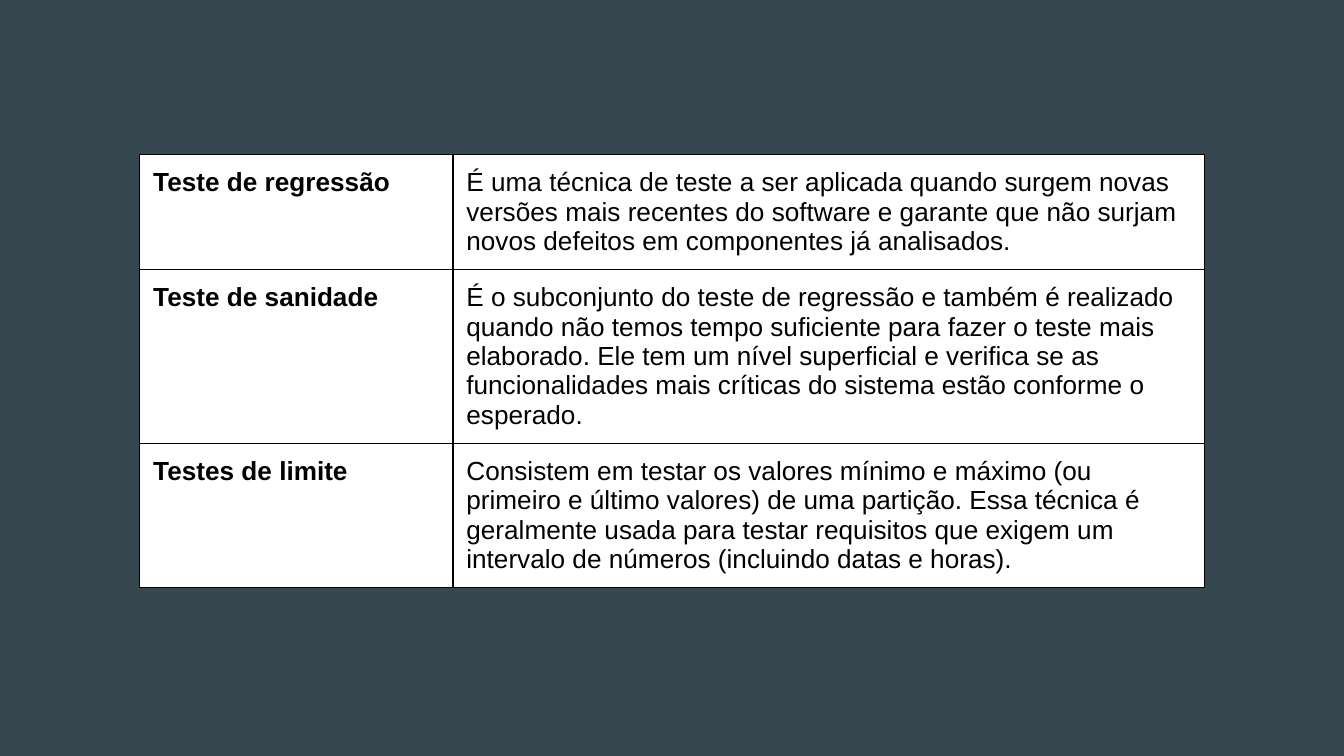
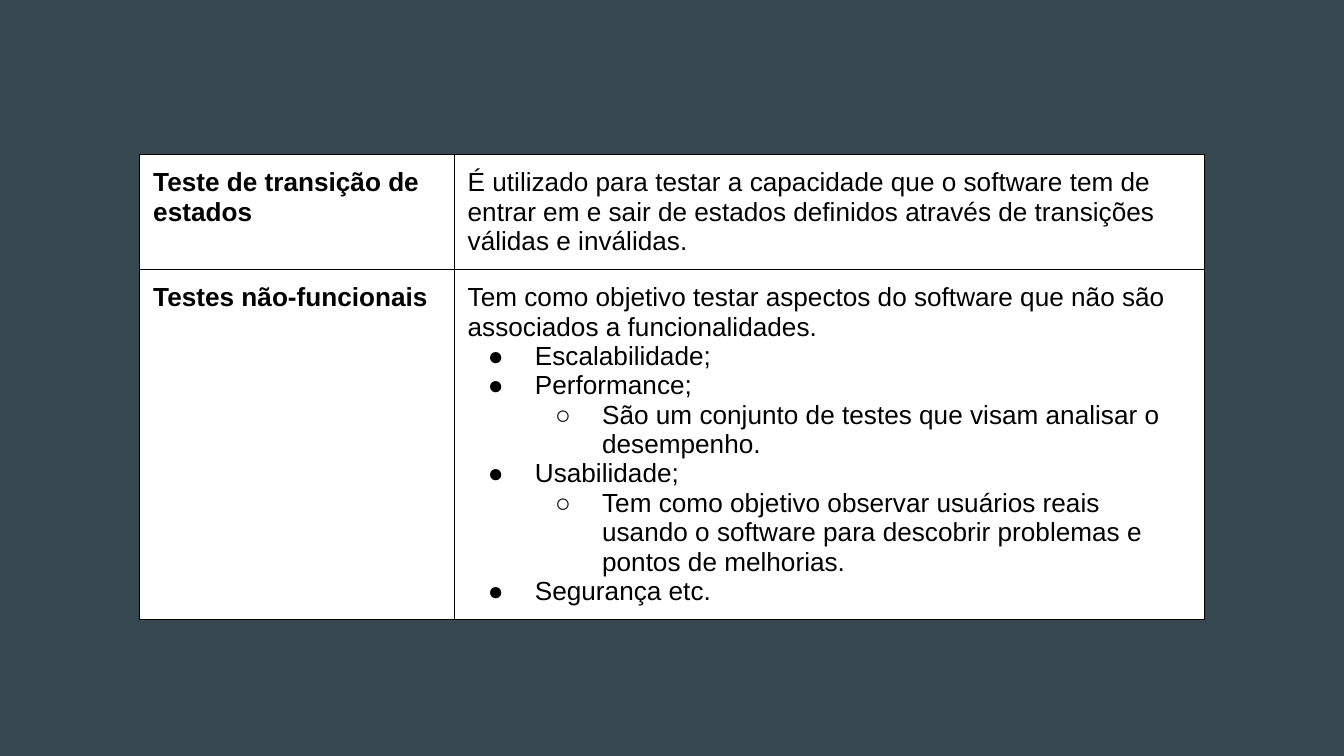
from lxml import etree
from pptx import Presentation
from pptx.dml.color import RGBColor
from pptx.enum.text import MSO_ANCHOR
from pptx.oxml.ns import qn
from pptx.util import Inches, Pt

TOP = MSO_ANCHOR.TOP

SLATE = RGBColor(0x37, 0x47, 0x4F)
WHITE = RGBColor(0xFF, 0xFF, 0xFF)
BLACK = RGBColor(0x00, 0x00, 0x00)

FONT = "Arial"
TEXT_SIZE = Pt(14)
BORDER_WIDTH = Pt(0.75)
CELL_MARGIN = Inches(0.1)
ROW_HEIGHT = 0.42
TABLE_LEFT, TABLE_TOP, TABLE_WIDTH = 1.04, 1.15, 7.92
BLANK_LAYOUT = 6

BULLETS = ("●", "○")
BULLET_STEP = Inches(0.5)
BULLET_HANG = Inches(-0.35)

# Each row is a technique and its description; a description is a list of
# (text, bullet level), where None means plain text.
BASIC_TESTS = [
    ("Teste de regressão", [
        ("É uma técnica de teste a ser aplicada quando surgem novas versões "
         "mais recentes do software e garante que não surjam novos defeitos "
         "em componentes já analisados.", None)]),
    ("Teste de sanidade", [
        ("É o subconjunto do teste de regressão e também é realizado quando "
         "não temos tempo suficiente para fazer o teste mais elaborado. Ele "
         "tem um nível superficial e verifica se as funcionalidades mais "
         "críticas do sistema estão conforme o esperado.", None)]),
    ("Testes de limite", [
        ("Consistem em testar os valores mínimo e máximo (ou primeiro e "
         "último valores) de uma partição. Essa técnica é geralmente usada "
         "para testar requisitos que exigem um intervalo de números "
         "(incluindo datas e horas).", None)]),
]
OTHER_TESTS = [
    ("Teste de transição de estados", [
        ("É utilizado para testar a capacidade que o software tem de entrar "
         "em e sair de estados definidos através de transições válidas e "
         "inválidas.", None)]),
    ("Testes não-funcionais", [
        ("Tem como objetivo testar aspectos do software que não são "
         "associados a funcionalidades.", None),
        ("Escalabilidade;", 0),
        ("Performance;", 0),
        ("São um conjunto de testes que visam analisar o desempenho.", 1),
        ("Usabilidade;", 0),
        ("Tem como objetivo observar usuários reais usando o software para "
         "descobrir problemas e pontos de melhorias.", 1),
        ("Segurança etc.", 0)]),
]


def add_solid_fill(parent, color):
    fill = etree.SubElement(parent, qn("a:solidFill"))
    etree.SubElement(fill, qn("a:srgbClr"), val=str(color))


def add_bullet(para, level):
    para.level = level
    properties = para._p.get_or_add_pPr()
    properties.set("marL", str(BULLET_STEP * (level + 1)))
    properties.set("indent", str(BULLET_HANG))
    color = etree.SubElement(properties, qn("a:buClr"))
    etree.SubElement(color, qn("a:srgbClr"), val=str(BLACK))
    etree.SubElement(properties, qn("a:buFont"), typeface=FONT)
    etree.SubElement(properties, qn("a:buChar"), char=BULLETS[level])


def write(para, text, *, bold=False, level=None):
    span = para.add_run()
    span.text = text
    span.font.name = FONT
    span.font.size = TEXT_SIZE
    span.font.bold = bold
    span.font.color.rgb = BLACK
    if level is not None:
        add_bullet(para, level)


def style_cell(cell):
    cell.margin_left = cell.margin_right = CELL_MARGIN
    cell.margin_top = cell.margin_bottom = CELL_MARGIN
    cell.vertical_anchor = TOP
    # Borders come before the fill in the cell properties
    properties = cell._tc.get_or_add_tcPr()
    for side in ("a:lnL", "a:lnR", "a:lnT", "a:lnB"):
        line = etree.SubElement(properties, qn(side), w=str(BORDER_WIDTH))
        add_solid_fill(line, BLACK)
    cell.fill.solid()
    cell.fill.fore_color.rgb = WHITE


def fill_cell(cell, lines, bold=False):
    style_cell(cell)
    frame = cell.text_frame
    for index, (text, level) in enumerate(lines):
        para = frame.add_paragraph() if index else frame.paragraphs[0]
        write(para, text, bold=bold, level=level)


def add_technique_table(page, rows, left, top, width, name_width):
    frame = page.shapes.add_table(
        len(rows), 2, Inches(left), Inches(top),
        Inches(width), Inches(ROW_HEIGHT * len(rows)))
    table = frame.table
    table.first_row = table.horz_banding = False
    table.columns[0].width = Inches(name_width)
    table.columns[1].width = Inches(width - name_width)
    for index, (name, description) in enumerate(rows):
        table.rows[index].height = Inches(ROW_HEIGHT)
        fill_cell(table.cell(index, 0), [(name, None)], bold=True)
        fill_cell(table.cell(index, 1), description)


def add_table_slide(deck, rows, name_width):
    page = deck.slides.add_slide(deck.slide_layouts[BLANK_LAYOUT])
    add_technique_table(page, rows, TABLE_LEFT, TABLE_TOP, TABLE_WIDTH,
                        name_width)


def main():
    deck = Presentation()
    # Widescreen, 16:9
    deck.slide_width = Inches(10)
    deck.slide_height = Inches(10 * 9 / 16)

    # Shared background
    background = deck.slide_master.background.fill
    background.solid()
    background.fore_color.rgb = SLATE

    add_table_slide(deck, BASIC_TESTS, name_width=2.33)
    add_table_slide(deck, OTHER_TESTS, name_width=2.34)
    deck.save("out.pptx")


if __name__ == "__main__":
    main()
